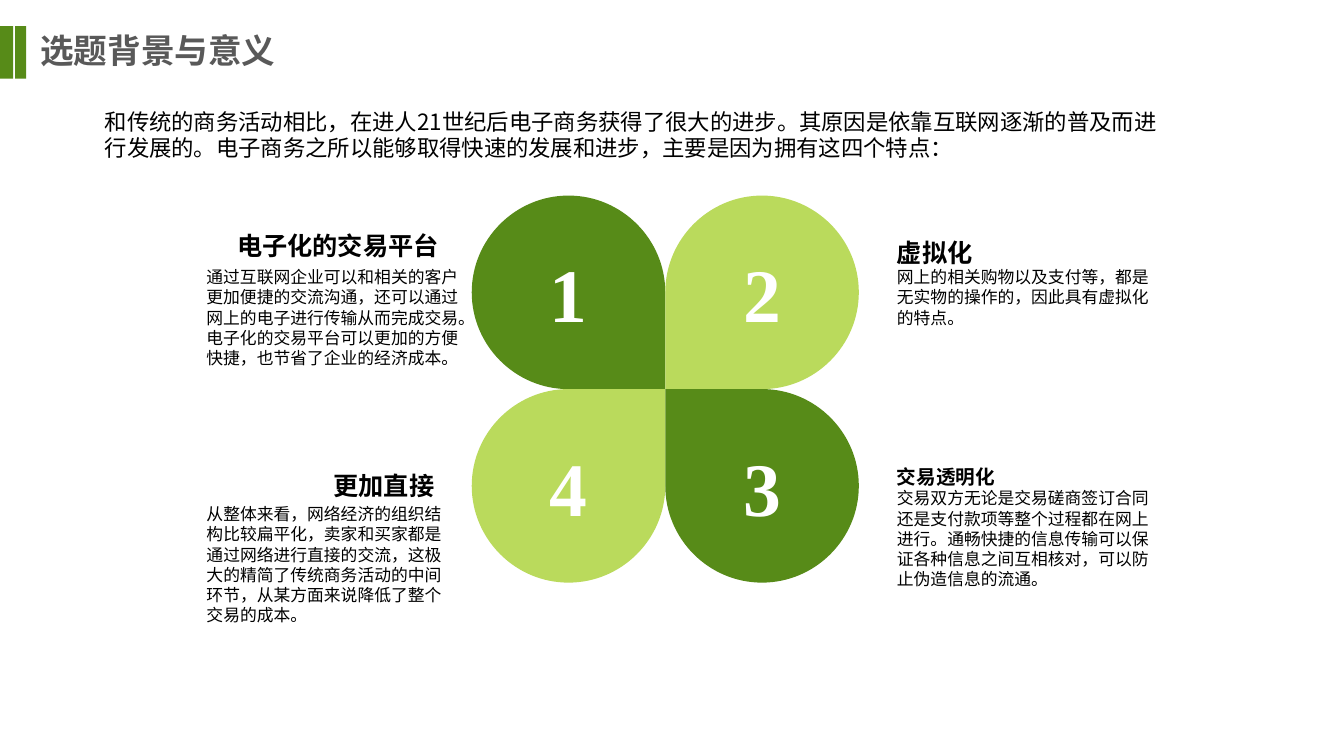
"""Build the slide on the background of the topic: four traits of e-commerce around a clover."""
from lxml.etree import SubElement
from pptx import Presentation
from pptx.dml.color import RGBColor
from pptx.enum.shapes import MSO_SHAPE
from pptx.enum.text import MSO_ANCHOR, MSO_AUTO_SIZE, PP_ALIGN
from pptx.oxml.ns import qn
from pptx.util import Emu, Pt

DARK_GREEN = RGBColor(0x57, 0x8B, 0x18)
LIGHT_GREEN = RGBColor(0xBA, 0xDA, 0x5C)
GRAY = RGBColor(0x59, 0x59, 0x59)
BLACK = RGBColor(0, 0, 0)
WHITE = RGBColor(0xFF, 0xFF, 0xFF)
EMU_PER_PX = 9144

INTRO = "和传统的商务活动相比，在进人21世纪后电子商务获得了很大的进步。其原因是依靠互联网逐渐的普及而进行发展的。电子商务之所以能够取得快速的发展和进步，主要是因为拥有这四个特点："
PLATFORM = "通过互联网企业可以和相关的客户更加便捷的交流沟通，还可以通过网上的电子进行传输从而完成交易。电子化的交易平台可以更加的方便快捷，也节省了企业的经济成本。"
VIRTUAL = "网上的相关购物以及支付等，都是无实物的操作的，因此具有虚拟化的特点。"
TRANSPARENT = "交易双方无论是交易磋商签订合同还是支付款项等整个过程都在网上进行。通畅快捷的信息传输可以保证各种信息之间互相核对，可以防止伪造信息的流通。"
DIRECT = "从整体来看，网络经济的组织结构比较扁平化，卖家和买家都是通过网络进行直接的交流，这极大的精简了传统商务活动的中间环节，从某方面来说降低了整个交易的成本。"

PETALS = [
    ("1", -1, -1, DARK_GREEN),
    ("2", 1, -1, LIGHT_GREEN),
    ("4", -1, 1, LIGHT_GREEN),
    ("3", 1, 1, DARK_GREEN),
]
PETAL_OUTLINE = [
    (1, 0),
    (1.55, 0), (2, 0.45), (2, 1),
    (2, 1.55), (1.55, 2), (1, 2),
    (0.45, 2), (0, 1.55), (0, 1),
]
TEXTS = [
    ((880, 230, 278, 101), [("虚拟化", 18, True), (VIRTUAL, 12, False)], PP_ALIGN.LEFT),
    ((195, 224, 250, 40), [("电子化的交易平台", 18, True)], PP_ALIGN.RIGHT),
    ((195, 495, 262, 131), [(DIRECT, 12, False)], PP_ALIGN.LEFT),
    ((318, 462, 126, 40), [("更加直接", 18, True)], PP_ALIGN.CENTER),
    ((880, 456, 280, 135), [("交易透明化", 14, True), (TRANSPARENT, 12, False)], PP_ALIGN.LEFT),
    ((195, 260, 273, 131), [(PLATFORM, 12, False)], PP_ALIGN.LEFT),
    ((94, 102, 1071, 64), [(INTRO, 16, False)], PP_ALIGN.LEFT),
]


def px(*lengths):
    return [Emu(round(length * EMU_PER_PX)) for length in lengths]


class SlideBuilder:
    text_font = "Noto Sans CJK SC"
    number_font = "Times New Roman"

    def __init__(self, presentation):
        self.slide = presentation.slides.add_slide(presentation.slide_layouts[5])

    def format_paragraph(self, paragraph, size, color, bold, align, font_name):
        paragraph.alignment = align
        for run in paragraph.runs:
            run.font.size = Pt(size)
            run.font.bold = bold
            run.font.color.rgb = color
            run.font.name = font_name
            properties = run._r.get_or_add_rPr()
            properties.set("lang", "zh-CN")
            SubElement(properties, qn("a:ea")).set("typeface", font_name)

    def fill(self, shape, color):
        shape.shadow.inherit = False
        shape.fill.solid()
        shape.fill.fore_color.rgb = color
        shape.line.fill.background()

    def title(self, text, box):
        title = self.slide.shapes.title
        title.left, title.top, title.width, title.height = px(*box)
        frame = title.text_frame
        frame.text = text
        frame.auto_size = MSO_AUTO_SIZE.NONE
        frame.vertical_anchor = MSO_ANCHOR.TOP
        self.format_paragraph(frame.paragraphs[0], 24, GRAY, True, PP_ALIGN.LEFT, self.text_font)

    def bar(self, box):
        self.fill(self.slide.shapes.add_shape(MSO_SHAPE.RECTANGLE, *px(*box)), DARK_GREEN)

    def round_outline(self, shape):
        segments = list(shape._element.iter(qn("a:lnTo")))[1:]
        for first, second, third in zip(segments[::3], segments[1::3], segments[2::3]):
            first.tag = qn("a:cubicBezTo")
            for segment in (second, third):
                first.append(segment[0])
                segment.getparent().remove(segment)

    def petal(self, number, side_x, side_y, color, heart=(660, 386), radius=96):
        points = [
            px(heart[0] + side_x * radius * x, heart[1] + side_y * radius * y)
            for x, y in PETAL_OUTLINE
        ]
        builder = self.slide.shapes.build_freeform(*px(*heart))
        builder.add_line_segments(points, close=True)
        shape = builder.convert_to_shape()
        self.round_outline(shape)
        self.fill(shape, color)
        frame = shape.text_frame
        frame.text = number
        frame.vertical_anchor = MSO_ANCHOR.MIDDLE
        self.format_paragraph(frame.paragraphs[0], 54, WHITE, True, PP_ALIGN.CENTER, self.number_font)

    def text(self, box, lines, align):
        frame = self.slide.shapes.add_textbox(*px(*box)).text_frame
        frame.word_wrap = True
        frame.text = "\n".join(line[0] for line in lines)
        for paragraph, (_, size, bold) in zip(frame.paragraphs, lines):
            self.format_paragraph(paragraph, size, BLACK, bold, align, self.text_font)


def main():
    presentation = Presentation()
    presentation.slide_width, presentation.slide_height = px(4000 / 3, 750)
    builder = SlideBuilder(presentation)
    builder.title("选题背景与意义", (30, 25, 330, 50))
    builder.bar((0, 26, 13, 52))
    builder.bar((15, 26, 11, 52))
    for petal in PETALS:
        builder.petal(*petal)
    for text in TEXTS:
        builder.text(*text)
    presentation.save("out.pptx")


if __name__ == "__main__":
    main()
